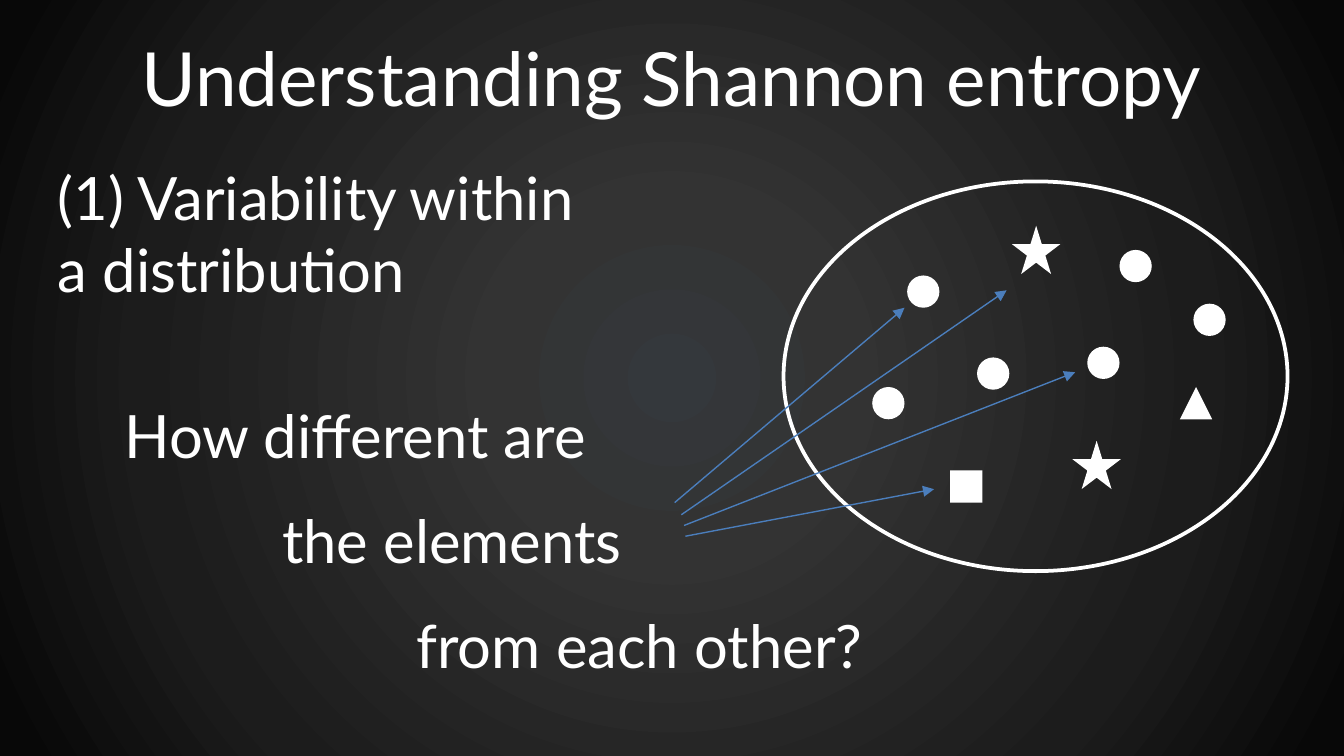
from dataclasses import dataclass

from lxml.etree import SubElement
from pptx import Presentation
from pptx.dml.color import RGBColor
from pptx.enum.shapes import MSO_CONNECTOR, MSO_SHAPE
from pptx.enum.text import MSO_AUTO_SIZE, PP_ALIGN
from pptx.oxml import parse_xml
from pptx.oxml.ns import nsdecls, qn
from pptx.util import Inches, Pt

PAGE_WIDTH = 10
PAGE_HEIGHT = PAGE_WIDTH * 9 / 16
WHITE, BLUE, BLACK = "FFFFFF", "4B7EBC", "000000"
GLOW_STOPS = [(0, "34383C"), (23, "333333"), (69, "1C1C1C"), (97, "080808")]


@dataclass
class Element:
    kind: MSO_SHAPE
    left: float
    top: float
    size: float = 0.24


@dataclass
class Pointer:
    start: tuple[float, float]
    end: tuple[float, float]


@dataclass
class Phrase:
    text: str
    left: float
    top: float
    width: float
    height: float = 0.64


ELEMENTS = [
    Element(MSO_SHAPE.RECTANGLE, 7.07, 3.5),
    Element(MSO_SHAPE.STAR_5_POINT, 7.98, 3.28, 0.36),
    Element(MSO_SHAPE.OVAL, 6.49, 2.88),
    Element(MSO_SHAPE.OVAL, 6.75, 2.05),
    Element(MSO_SHAPE.OVAL, 8.88, 2.26),
    Element(MSO_SHAPE.OVAL, 8.09, 2.58),
    Element(MSO_SHAPE.OVAL, 7.27, 2.66),
    Element(MSO_SHAPE.ISOSCELES_TRIANGLE, 8.78, 2.88),
    Element(MSO_SHAPE.STAR_5_POINT, 7.53, 1.68, 0.36),
    Element(MSO_SHAPE.OVAL, 8.33, 1.86),
]
PHRASES = [
    Phrase("(1) Variability within\va distribution", 0.33, 1.15, 5.01, 1.18),
    Phrase("How different are", 0.83, 2.92, 4.26),
    Phrase("the elements", 2, 3.7, 3.09),
    Phrase("from each other?", 3, 4.48, 4.11),
]
POINTERS = [
    Pointer((5.02, 3.74), (6.73, 2.29)),
    Pointer((5.07, 3.83), (7.49, 2.16)),
    Pointer((5.1, 3.99), (6.95, 3.64)),
    Pointer((5.09, 3.91), (8, 2.77)),
]


def color(value: str) -> RGBColor:
    return RGBColor.from_string(value)


def add_figure(page, kind: MSO_SHAPE, left: float, top: float, width: float,
               height: float, *, fill: str | None = None, line: str | None = None):
    figure = page.shapes.add_shape(
        kind, Inches(left), Inches(top), Inches(width), Inches(height))
    figure.shadow.inherit = False
    if fill:
        figure.fill.solid()
        figure.fill.fore_color.rgb = color(fill)
    else:
        figure.fill.background()
    if line:
        figure.line.color.rgb = color(line)
        figure.line.width = Pt(2)
    else:
        figure.line.fill.background()
    return figure


def add_glow(page) -> None:
    """Cover the page with a circular gradient centred on it."""
    backdrop = add_figure(page, MSO_SHAPE.RECTANGLE, 0, 0, PAGE_WIDTH, PAGE_HEIGHT)
    stops = "".join(
        f'<a:gs pos="{position * 1000}"><a:srgbClr val="{value}"/></a:gs>'
        for position, value in GLOW_STOPS)
    gradient = parse_xml(
        f'<a:gradFill {nsdecls("a")} rotWithShape="1"><a:gsLst>{stops}</a:gsLst>'
        '<a:path path="circle"><a:fillToRect l="50000" t="50000" r="50000" b="50000"/>'
        '</a:path></a:gradFill>')
    properties = backdrop.element.spPr
    properties.replace(properties.find(qn("a:noFill")), gradient)


def add_text(page, phrase: Phrase, *, size: int = 32,
             align: PP_ALIGN = PP_ALIGN.LEFT) -> None:
    box = page.shapes.add_textbox(Inches(phrase.left), Inches(phrase.top),
                                  Inches(phrase.width), Inches(phrase.height))
    frame = box.text_frame
    frame.word_wrap = True
    frame.auto_size = MSO_AUTO_SIZE.SHAPE_TO_FIT_TEXT
    para = frame.paragraphs[0]
    para.text = phrase.text
    para.alignment = align
    for span in para.runs:
        span.font.name = "Lato"
        span.font.size = Pt(size)
        span.font.color.rgb = color(WHITE)


def add_pointer(page, pointer: Pointer) -> None:
    arrow = page.shapes.add_connector(
        MSO_CONNECTOR.STRAIGHT, *map(Inches, pointer.start + pointer.end))
    arrow.line.color.rgb = color(BLUE)
    arrow.line.width = Pt(0.75)
    properties = arrow.element.spPr
    SubElement(properties.find(qn("a:ln")), qn("a:tailEnd"), type="triangle")
    SubElement(properties, qn("a:effectLst"))


def main() -> None:
    deck = Presentation()
    deck.slide_width, deck.slide_height = Inches(PAGE_WIDTH), Inches(PAGE_HEIGHT)
    page = deck.slides.add_slide(deck.slide_layouts[6])
    page.background.fill.solid()
    page.background.fill.fore_color.rgb = color(BLACK)
    add_glow(page)
    add_text(page, Phrase("Understanding Shannon entropy", 0.23, 0.19, 9.53, 0.77),
             size=40, align=PP_ALIGN.CENTER)
    add_figure(page, MSO_SHAPE.OVAL, 5.83, 1.35, 3.75, 2.9, line=WHITE)
    for element in ELEMENTS:
        add_figure(page, element.kind, element.left, element.top,
                   element.size, element.size, fill=WHITE)
    for phrase in PHRASES:
        add_text(page, phrase)
    for pointer in POINTERS:
        add_pointer(page, pointer)
    deck.save("out.pptx")


if __name__ == "__main__":
    main()
